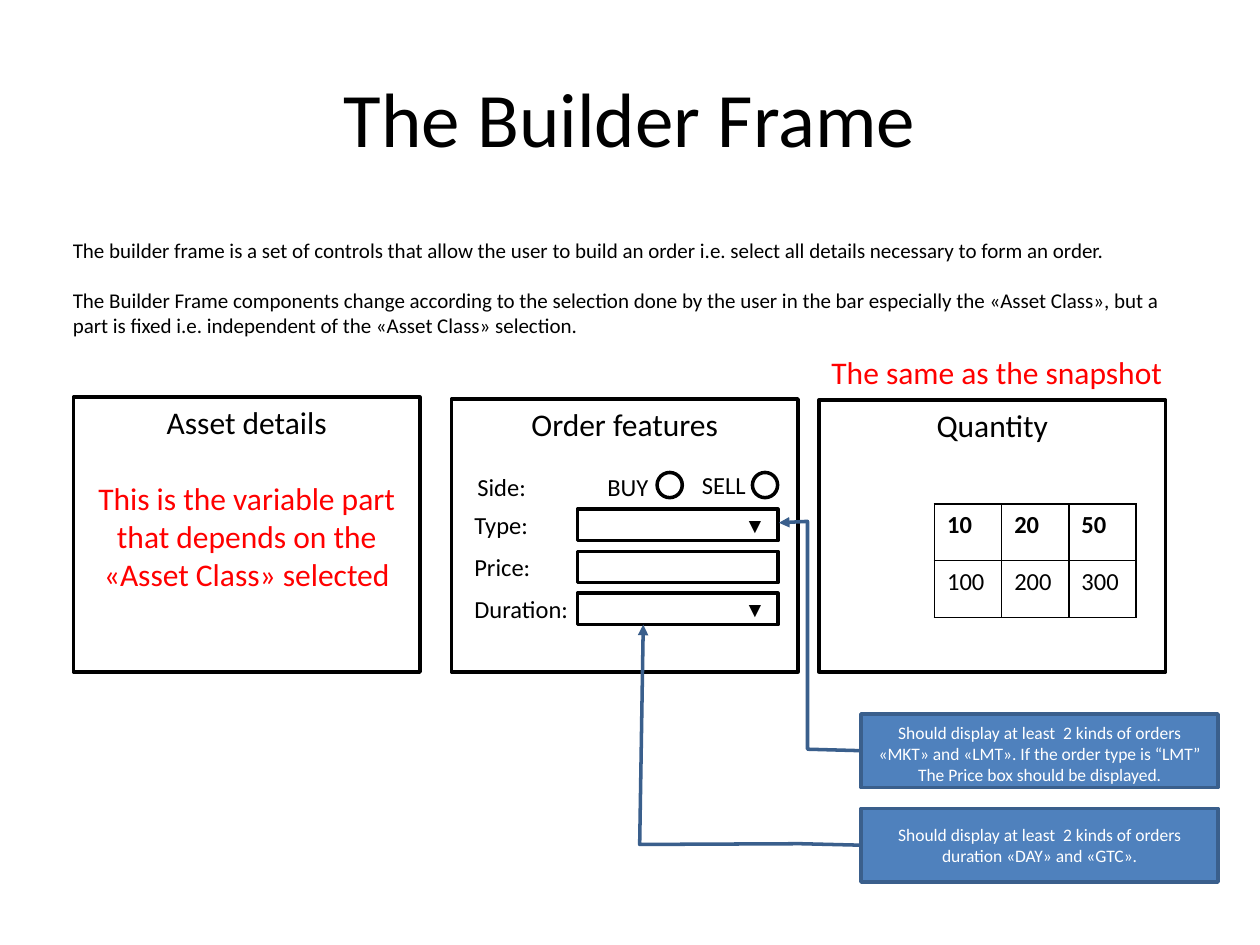
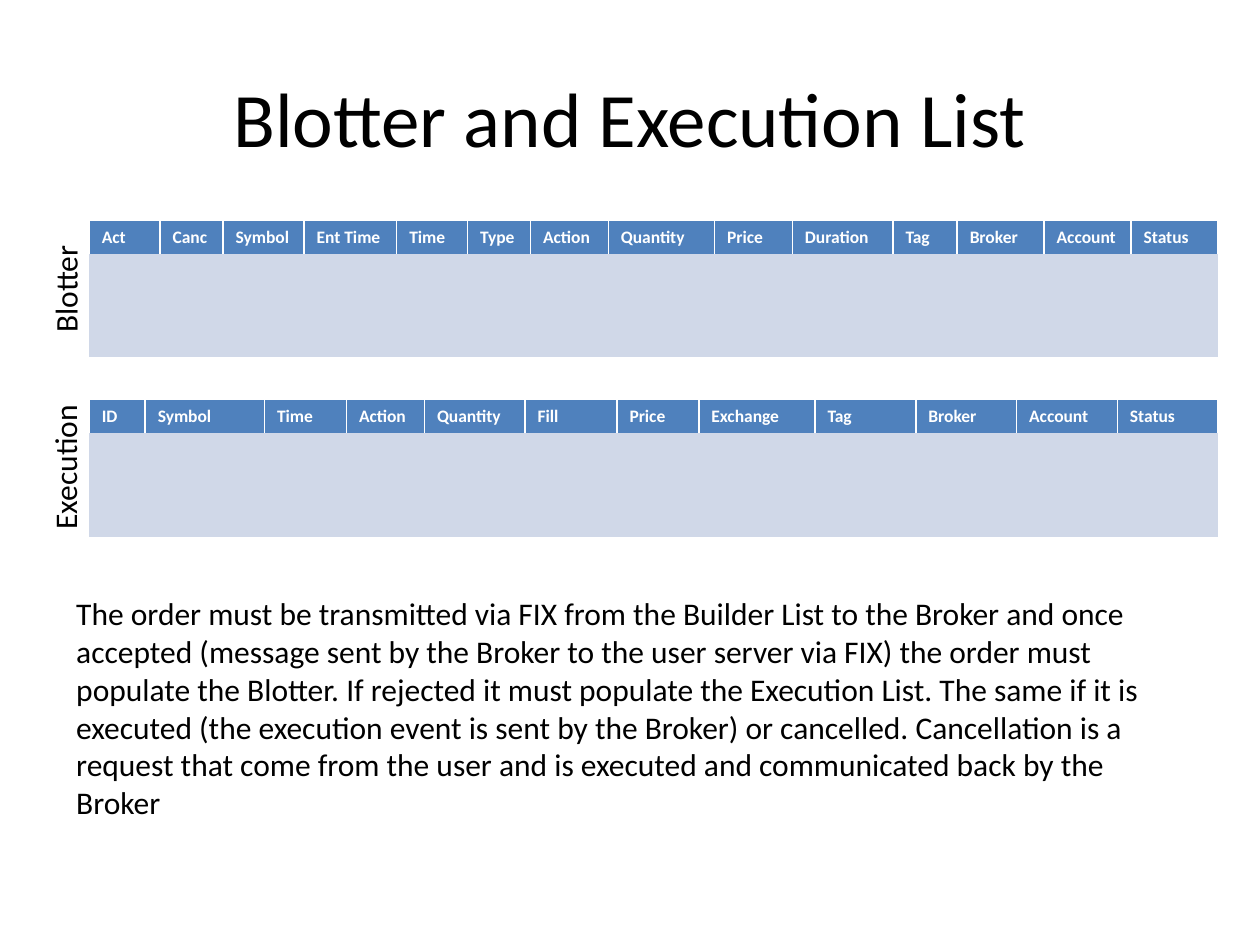
import pptx
import pptx.util
import pptx.dml.color
import pptx.enum.shapes
import pptx.enum.text
import pptx.oxml.ns
import lxml.etree

Pt = pptx.util.Pt
RGBColor = pptx.dml.color.RGBColor
SHAPE = pptx.enum.shapes.MSO_SHAPE
ALIGN = pptx.enum.text.PP_ALIGN
ANCHOR = pptx.enum.text.MSO_ANCHOR
qn = pptx.oxml.ns.qn

BLACK = RGBColor(0, 0, 0)
WHITE = RGBColor(255, 255, 255)
RED = RGBColor(255, 0, 0)
BLUE = RGBColor(0x4F, 0x81, 0xBD)
NAVY = RGBColor(0x3A, 0x5F, 0x8C)
PALE = RGBColor(0xD0, 0xD8, 0xE8)
BARE = "{2D5ABB26-0587-4C30-8999-92F81FD0307C}"  # table style without grid

BASE = {"name": "Calibri", "size": Pt(18), "bold": False}
TIGHT = {"word_wrap": False}
WRAP = {"word_wrap": True}
TOP = {"vertical_anchor": ANCHOR.TOP, "word_wrap": True}
MID = {"vertical_anchor": ANCHOR.MIDDLE, "word_wrap": True}


def put(slide, kind, box, fill=None, edge=BLACK):
    """Add a shape of this kind, or a text box when kind is None."""
    box = [Pt(v) for v in box]
    if kind is None:
        return slide.shapes.add_textbox(*box)
    shape = slide.shapes.add_shape(kind, *box)
    shape.shadow.inherit = False
    if fill is None:
        shape.fill.background()
    else:
        shape.fill.solid()
        shape.fill.fore_color.rgb = fill
    shape.line.color.rgb = edge
    shape.line.width = Pt(2)
    return shape


def write(frame, lines, hue=BLACK, align=ALIGN.LEFT, gap=0, look=None, **font):
    """Fill a text frame with one paragraph per line, in one format."""
    for key, val in (look or {}).items():
        setattr(frame, key, val)
    for i, line in enumerate(lines):
        para = frame.add_paragraph() if i else frame.paragraphs[0]
        para.alignment = align
        if i:
            para.space_before = Pt(gap)
        run = para.add_run()
        run.text = line
        for key, val in {**BASE, **font}.items():
            setattr(run.font, key, val)
        run.font.color.rgb = hue


deck = pptx.Presentation()
deck.slide_width, deck.slide_height = Pt(720), Pt(540)
slides = []
for title in ("The Builder Frame", "Blotter and Execution List"):
    slide = deck.slides.add_slide(deck.slide_layouts[6])
    head = put(slide, None, (36, 21.6, 648, 90))
    write(head.text_frame, [title], align=ALIGN.CENTER, look=MID, size=Pt(44))
    slides.append(slide)
frame, lists = slides

# Builder frame: introduction and three panels
intro = put(frame, None, (34.5, 132, 643.5, 65.5))
write(intro.text_frame, [
    "The builder frame is a set of controls that allow the user to build an "
    "order i.e. select all details necessary to form an order.",
    "The Builder Frame components change according to the selection done by "
    "the user in the bar especially the «Asset Class», but a part is fixed "
    "i.e. independent of the «Asset Class» selection."],
    gap=14.4, look=WRAP, size=Pt(12))

panels = [
    (42, 227, 157, ["Asset details", "This is the variable part that depends "
                    "on the «Asset Class» selected"]),
    (258, 228, 156, ["Order features"]),
    (468, 228.5, 155.5, ["Quantity"])]
for x, y, h, lines in panels:
    panel = put(frame, SHAPE.RECTANGLE, (x, y, 198, h))
    write(panel.text_frame, lines, align=ALIGN.CENTER, gap=21.6, look=TOP)
    for para in panel.text_frame.paragraphs[1:]:
        para.runs[0].font.color.rgb = RED

note = put(frame, None, (468, 198, 206, 29))
write(note.text_frame, ["The same as the snapshot"], RED, look=TIGHT)

# Order features: fields, labels and radio buttons
fields = [("Type:", 45, "▼"), ("Price:", 47, ""), ("Duration:", 69, "▼")]
labels = [("Side:", 265.7, 266.4, 42.5), ("BUY", 340, 266, 38),
          ("SELL", 394, 265, 39.5)]
for i, (name, w, mark) in enumerate(fields):
    y = 291 + 24 * i
    field = put(frame, SHAPE.RECTANGLE, (330, y, 114.5, 18))
    if mark:
        write(field.text_frame, [mark], align=ALIGN.RIGHT, look=MID,
              name="Arial", size=Pt(12))
    labels.append((name, 264, y - 3, w))
for name, x, y, w in labels:
    label = put(frame, None, (x, y, w, 24.5))
    write(label.text_frame, [name], look=TIGHT, size=Pt(14))
for x in (375.5, 430):
    put(frame, SHAPE.OVAL, (x, 270, 14.4, 14.4))

# Callouts: the points run from the arrow tip back to the box
calls = [
    (408, 3, (-2.6, -0.23, -2.62, -0.15, 0.48, -0.15, 0.5, 0),
     "Should display at least  2 kinds of orders «MKT» and «LMT». If the "
     "order type is “LMT” The Price box should be displayed."),
    (462, 0, (-2.5, -0.61, 0.49, -0.62, 0.48, -0.17, 0.5, 0),
     "Should display at least  2 kinds of orders duration «DAY» and «GTC».")]
for y, inset, bends, line in calls:
    call = put(frame, SHAPE.LINE_CALLOUT_3, (492, y, 204, 42), BLUE, NAVY)
    for i, bend in enumerate(bends):
        call.adjustments[i] = bend
    lxml.etree.SubElement(call.line._get_or_add_ln(), qn("a:headEnd"),
                          type="triangle")
    write(call.text_frame, [line], WHITE, ALIGN.CENTER, size=Pt(10),
          look={**MID, "margin_top": Pt(inset), "margin_bottom": 0})

# Tables: slide, left, top, column widths, row heights, text rows,
# text size, text colour, row fills, bordered sides by row
HEAD = ("lnL", "lnR", "lnT")
ALL = HEAD + ("lnB",)
blot = ("Act Canc Symbol Ent_Time Time Type Action Quantity Price Duration "
        "Tag Broker Account Status")
exe = ("ID Symbol Time Action Quantity Fill Price Exchange Tag Broker "
       "Account Status")
blot, exe = [[w.replace("_", " ") for w in s.split()] for s in (blot, exe)]
wide = [40.5, 36, 46.3, 52.9, 40.5, 36, 44.5, 60.7, 44.5, 57.5, 36.7,
        49.7, 49.7, 49.7]
broad = [32, 68.2, 46.8, 44.6, 57.5, 52.5, 46.8, 66.4] + [57.6] * 4
list_look = ((19, 59), 10, WHITE, (BLUE, PALE), (HEAD, ()))
grids = [
    (frame, 534, 288, [38.4] * 3, [["10", "20", "50"], ["100", "200", "300"]],
     (32.4, 32.4), 14, BLACK, (None, None), (ALL, ALL)),
    (lists, 51, 126, wide, [blot, [""] * len(blot)], *list_look),
    (lists, 51, 228.4, broad, [exe, [""] * len(exe)], *list_look)]
for slide, x, y, cols, rows, tall, size, hue, fills, sides in grids:
    grid = slide.shapes.add_table(len(rows), len(cols), Pt(x), Pt(y),
                                  Pt(sum(cols)), Pt(sum(tall))).table
    grid._tbl.tblPr.find(qn("a:tableStyleId")).text = BARE
    for col, w in zip(grid.columns, cols):
        col.width = Pt(w)
    for r, words in enumerate(rows):
        grid.rows[r].height = Pt(tall[r])
        for c, word in enumerate(words):
            cell = grid.cell(r, c)
            prop = cell._tc.get_or_add_tcPr()
            for side in sides[r]:
                ln = lxml.etree.SubElement(prop, qn("a:" + side),
                                           w=str(Pt(1)))
                solid = lxml.etree.SubElement(ln, qn("a:solidFill"))
                lxml.etree.SubElement(solid, qn("a:srgbClr"), val=str(hue))
            if fills[r] is None:
                cell.fill.background()
            else:
                cell.fill.solid()
                cell.fill.fore_color.rgb = fills[r]
            if word:
                write(cell.text_frame, [word], hue, size=Pt(size), bold=r == 0)

# Blotter and execution list: side labels and explanation
for name, x, y, w in (("Blotter", 4.5, 150, 65.5),
                      ("Execution", -6.2, 252, 86.4)):
    label = put(lists, None, (x, y, w, 29))
    label.rotation = 270
    write(label.text_frame, [name], look=TIGHT)

text = put(lists, None, (36.5, 336, 647.5, 138))
write(text.text_frame, [
    "The order must be transmitted via FIX from the Builder List to the "
    "Broker and once accepted (message sent by the Broker to the user server "
    "via FIX) the order must populate the Blotter. If rejected it must "
    "populate the Execution List. The same if it is executed (the execution "
    "event is sent by the Broker) or cancelled. Cancellation is a request "
    "that come from the user and is executed and communicated back by the "
    "Broker"], look=WRAP)

deck.save("out.pptx")
